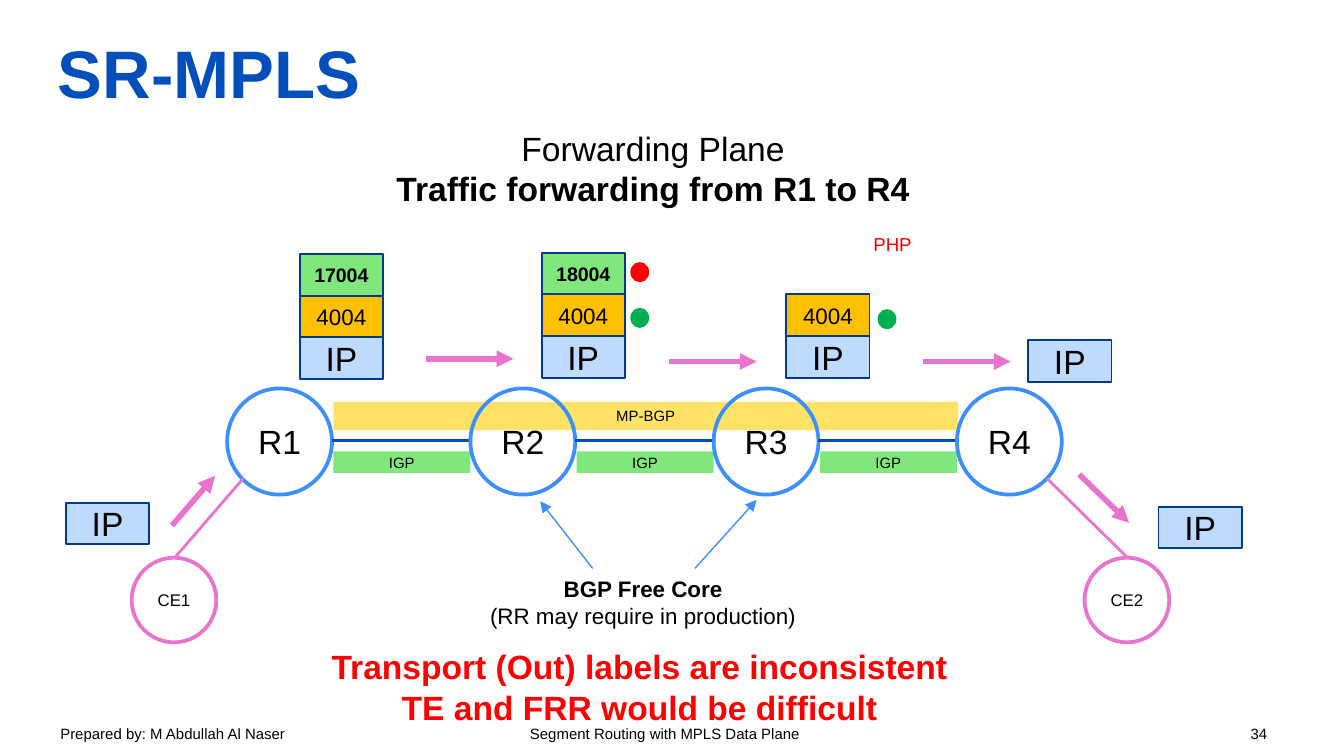
from lxml import etree
from pptx import Presentation
from pptx.dml.color import RGBColor
from pptx.enum import shapes, text
from pptx.oxml import ns
from pptx.util import Inches, Pt

FONT = "Arial"
BLACK, RED, GREEN = "000000", "FF0000", "00B050"
PINK, SKY, NAVY = "E874D0", "3D8FFF", "003A8A"
LABEL_STYLES = {
    "ip": ("BEDAFF", 18, False),
    "service": ("FFC000", 12, False),
    "transport": ("80E77C", 10.5, True),
}
LABEL_HEIGHT = 0.31
ROUTER_LEFT, ROUTER_PITCH = 1.69, 1.81


def color(value):
    return RGBColor.from_string(value)


def format_paragraph(paragraph, size, ink=BLACK, bold=False, align=text.PP_ALIGN.CENTER):
    paragraph.alignment = align
    for run in paragraph.runs:
        run.font.name = FONT
        run.font.size = Pt(size)
        run.font.bold = bold
        run.font.color.rgb = color(ink)


def add_box(slide, kind, box, fill=None, line=None, width=1, label="", size=18, bold=False):
    shape = slide.shapes.add_shape(kind, *map(Inches, box))
    shape.shadow.inherit = False
    if fill:
        shape.fill.solid()
        shape.fill.fore_color.rgb = color(fill)
    else:
        shape.fill.background()
    if line:
        shape.line.color.rgb = color(line)
        shape.line.width = Pt(width)
    else:
        shape.line.fill.background()
    if label:
        frame = shape.text_frame
        frame.margin_left = frame.margin_right = frame.margin_top = frame.margin_bottom = 0
        frame.vertical_anchor = text.MSO_ANCHOR.MIDDLE
        frame.text = label
        format_paragraph(frame.paragraphs[0], size, bold=bold)
    return shape


def add_rectangle(slide, box, **style):
    return add_box(slide, shapes.MSO_SHAPE.RECTANGLE, box, **style)


def add_circle(slide, box, **style):
    return add_box(slide, shapes.MSO_SHAPE.OVAL, box, **style)


def add_label_stack(slide, left, bottom_top, labels):
    for level, (kind, label) in enumerate(labels):
        fill, size, bold = LABEL_STYLES[kind]
        box = (left, bottom_top - level * LABEL_HEIGHT, 0.62, LABEL_HEIGHT)
        add_rectangle(slide, box, fill=fill, line=NAVY, label=label, size=size, bold=bold)


def add_line(slide, start, end, ink, width, arrow=False):
    connector = slide.shapes.add_connector(
        shapes.MSO_CONNECTOR.STRAIGHT, *map(Inches, start + end))
    connector.line.color.rgb = color(ink)
    connector.line.width = Pt(width)
    if arrow:
        tail = etree.SubElement(connector.line._get_or_add_ln(), ns.qn("a:tailEnd"))
        tail.set("type", "triangle")
    etree.SubElement(connector._element.spPr, ns.qn("a:effectLst"))


def add_text(slide, box, lines, size, ink=BLACK, align=text.PP_ALIGN.CENTER, wrap=False):
    frame = slide.shapes.add_textbox(*map(Inches, box)).text_frame
    frame.word_wrap = wrap
    frame.text = "\n".join(line for line, _ in lines)
    for paragraph, (_, bold) in zip(frame.paragraphs, lines):
        format_paragraph(paragraph, size, ink, bold, align)
    return frame


def add_footer(slide):
    content = "Prepared by: M Abdullah Al Naser\tSegment Routing with MPLS Data Plane\t34"
    frame = add_text(slide, (0.35, 5.34, 9.32, 0.25), [(content, False)], 8,
                     align=text.PP_ALIGN.LEFT, wrap=True)
    properties = frame.paragraphs[0]._p.get_or_add_pPr()
    tabs = etree.SubElement(properties, ns.qn("a:tabLst"))
    for position, align in ((4.5, "ctr"), (8.98, "r")):
        tab = etree.SubElement(tabs, ns.qn("a:tab"))
        tab.set("pos", str(Inches(position)))
        tab.set("algn", align)


def set_title(slide, content):
    title = slide.shapes.title
    title.left, title.top, title.width, title.height = map(Inches, (0.43, 0.06, 9.13, 0.94))
    frame = title.text_frame
    frame.margin_left = frame.margin_right = frame.margin_top = frame.margin_bottom = 0
    frame.vertical_anchor = text.MSO_ANCHOR.MIDDLE
    frame.text = content
    format_paragraph(frame.paragraphs[0], 36, "004FBB", True, text.PP_ALIGN.LEFT)


def add_network(slide):
    add_rectangle(slide, (2.48, 2.99, 4.65, 0.21), fill="FFE266", label="MP-BGP", size=8)
    for index in range(4):
        left = ROUTER_LEFT + index * ROUTER_PITCH
        add_circle(slide, (left, 2.89, 0.78, 0.79), line=SKY, width=2, label=f"R{index + 1}")
        if index < 3:
            add_line(slide, (left + 0.78, 3.28), (left + ROUTER_PITCH, 3.28), "004DB6", 1.5)
            add_rectangle(slide, (left + 0.79, 3.36, 1.02, 0.16),
                          fill="80E77C", label="IGP", size=8)
    for name, left, router_end in (("CE1", 0.98, (1.81, 3.56)), ("CE2", 8.07, (7.79, 3.56))):
        add_circle(slide, (left, 4.15, 0.63, 0.63), line=PINK, width=2, label=name, size=9)
        add_line(slide, (left + 0.32, 4.15), router_end, PINK, 1.5)


def add_packets(slide):
    ip, service = ("ip", "IP"), ("service", "4004")
    add_label_stack(slide, 2.23, 2.51, [ip, service, ("transport", "17004")])
    add_label_stack(slide, 4.03, 2.5, [ip, service, ("transport", "18004")])
    add_label_stack(slide, 5.85, 2.5, [ip, service])
    for left, top in ((7.65, 2.53), (0.49, 3.74), (8.62, 3.77)):
        add_label_stack(slide, left, top, [ip])
    for left, top, fill in ((4.69, 2.29, GREEN), (4.69, 1.95, RED), (6.53, 2.3, GREEN)):
        add_circle(slide, (left, top, 0.14, 0.15), fill=fill)


def add_arrows(slide):
    for start, end in (((4.41, 4.23), (4.02, 3.73)), ((5.17, 4.23), (5.63, 3.72))):
        add_line(slide, start, end, SKY, 0.75, arrow=True)
    for left, top in ((3.17, 2.67), (4.98, 2.69), (6.87, 2.69)):
        add_line(slide, (left, top), (left + 0.65, top), PINK, 3, arrow=True)
    for start, end in (((1.28, 3.91), (1.6, 3.54)), ((8.03, 3.53), (8.4, 3.89))):
        add_line(slide, start, end, PINK, 3, arrow=True)


def main():
    presentation = Presentation()
    presentation.slide_width = Inches(10)
    presentation.slide_height = Inches(10) * 9 // 16
    slide = presentation.slides.add_slide(presentation.slide_layouts[5])
    add_footer(slide)
    set_title(slide, "SR-MPLS")
    add_network(slide)
    add_packets(slide)
    add_arrows(slide)
    add_text(slide, (2.83, 0.9, 4.06, 0.71),
             [("Forwarding Plane", False), ("Traffic forwarding from R1 to R4", True)], 18)
    add_text(slide, (6.4, 1.68, 0.49, 0.27), [("PHP", False)], 10, RED, text.PP_ALIGN.LEFT)
    add_text(slide, (3.54, 4.23, 2.49, 0.5),
             [("BGP Free Core", True), ("(RR may require in production)", False)], 12)
    add_text(slide, (2.26, 4.76, 5, 0.71),
             [("Transport (Out) labels are inconsistent", True),
              ("TE and FRR would be difficult", True)], 18, RED, wrap=True)
    presentation.save("out.pptx")


if __name__ == "__main__":
    main()
